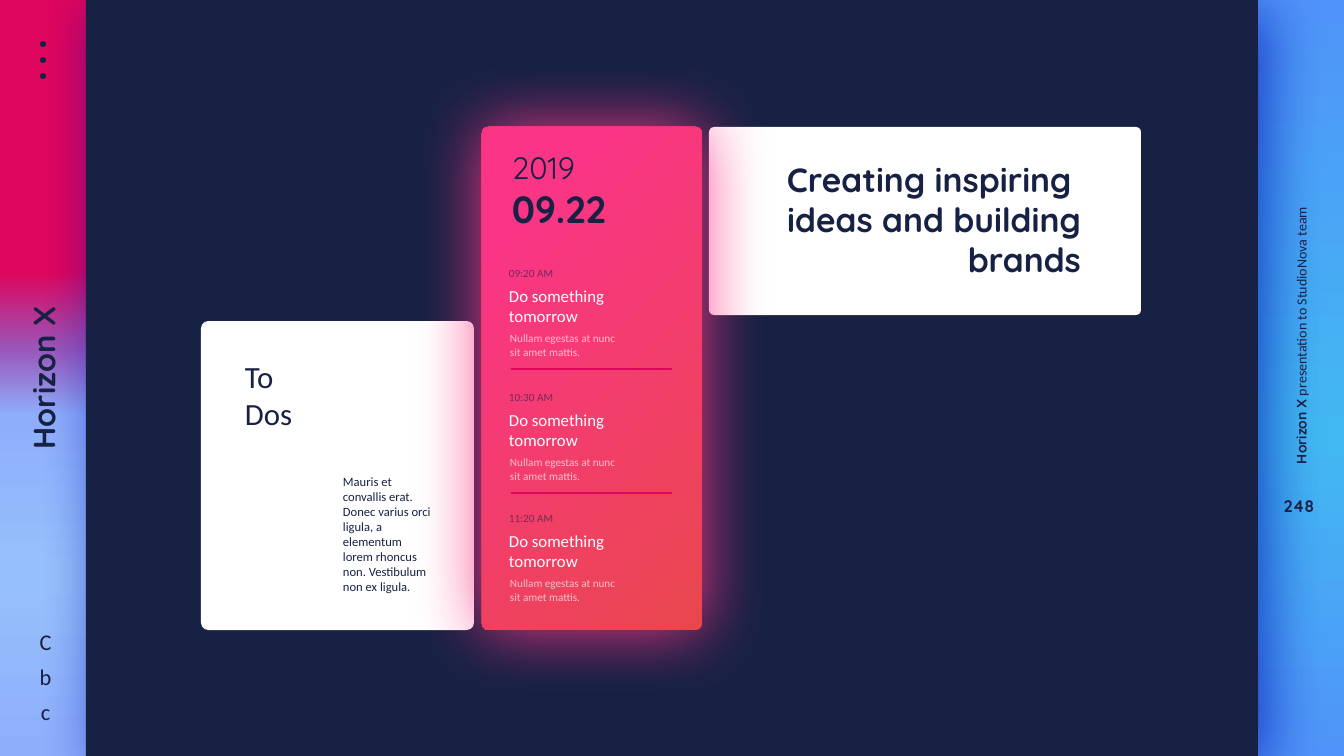
"""Build the dark agenda slide with a to-do card, a day schedule and a headline."""
from lxml import etree
from pptx import Presentation, util as u
from pptx.dml.color import RGBColor
from pptx.enum import shapes, text
from pptx.oxml import ns, parse_xml

PX = 18143
NAVY = RGBColor(0x17, 0x21, 0x44)
WHITE = RGBColor(0xFF, 0xFF, 0xFF)
CRIMSON = RGBColor(0xDE, 0x05, 0x5D)
PINK = RGBColor(0xFA, 0x35, 0x85)
CORAL = RGBColor(0xE9, 0x47, 0x4E)
ROSE = RGBColor(0xFC, 0x86, 0xB6)
PURPLE = RGBColor(0x9A, 0x55, 0xB8)
PERIWINKLE = RGBColor(0x8E, 0xAE, 0xFC)
PALE_BLUE = RGBColor(0x96, 0xC0, 0xFB)
BLUE = RGBColor(0x50, 0x94, 0xF9)
CYAN = RGBColor(0x42, 0xB8, 0xF2)
ROYAL = RGBColor(0x00, 0x12, 0xB0)
MAIN, HEADING = "Calibri", "Quicksand"
LEFT, CENTER, RIGHT = text.PP_ALIGN.LEFT, text.PP_ALIGN.CENTER, text.PP_ALIGN.RIGHT
TOP, MIDDLE = text.MSO_ANCHOR.TOP, text.MSO_ANCHOR.MIDDLE
RECT = shapes.MSO_SHAPE.RECTANGLE
ROUNDED = shapes.MSO_SHAPE.ROUNDED_RECTANGLE
DOT = shapes.MSO_SHAPE.OVAL
DOWNWARD = '<a:lin ang="5400000" scaled="0"/>'
FROM_CORNER = '<a:path path="circle"><a:fillToRect r="100000" b="100000"/></a:path>'
SHADOW = '<a:outerShdw {} blurRad="{}" dist="{}" dir="{}" algn="ctr" rotWithShape="0"><a:srgbClr val="{}"><a:alpha val="{}"/></a:srgbClr></a:outerShdw>'

deck = Presentation()
deck.slide_width, deck.slide_height = 1344 * PX, 756 * PX
slide = deck.slides.add_slide(deck.slide_layouts[5])
slide.background.fill.solid()
slide.background.fill.fore_color.rgb = NAVY


def block(kind, box, stops, spread=None, shadow=None):
    shape = slide.shapes.add_shape(kind, *[v * PX for v in box])
    if kind == ROUNDED:
        shape.adjustments[0] = 0.027
    if spread:
        colours = "".join(f'<a:gs pos="{at * 1000}"><a:srgbClr val="{c}"/></a:gs>' for at, c in stops)
        shape._element.spPr.append(parse_xml(
            f'<a:gradFill {ns.nsdecls("a")} rotWithShape="1"><a:gsLst>{colours}</a:gsLst>{spread}</a:gradFill>'))
    else:
        shape.fill.solid()
        shape.fill.fore_color.rgb = stops
    shape.line.fill.background()
    shape.shadow.inherit = False
    if shadow:
        shape._element.spPr.find(ns.qn("a:effectLst")).append(
            parse_xml(SHADOW.format(ns.nsdecls("a"), *shadow)))


def write(box, lines, size, color=NAVY, font=MAIN, bold=False, align=LEFT,
          anchor=TOP, turn=0, alpha=100, holder=None):
    holder = holder or slide.shapes.add_textbox(0, 0, 0, 0)
    holder.left, holder.top, holder.width, holder.height = [v * PX for v in box]
    holder.rotation = turn
    frame = holder.text_frame
    frame.text = lines
    frame.word_wrap = True
    frame.auto_size = text.MSO_AUTO_SIZE.NONE
    frame.vertical_anchor = anchor
    for paragraph in frame.paragraphs:
        paragraph.alignment = align
        for run in paragraph.runs:
            run.font.size, run.font.name, run.font.bold = u.Pt(size), font, bold
            run.font.color.rgb = color
            if alpha < 100:
                tint = run._r.rPr.find(".//" + ns.qn("a:srgbClr"))
                etree.SubElement(tint, ns.qn("a:alpha")).set("val", str(alpha * 1000))
    return frame


block(RECT, (0, 0, 86, 756), [(0, CRIMSON), (36, CRIMSON), (46, PURPLE), (55, PERIWINKLE),
                              (76, PALE_BLUE), (100, PERIWINKLE)], DOWNWARD)
block(RECT, (1258, 0, 86, 756), [(0, BLUE), (58, CYAN), (100, BLUE)], DOWNWARD)
block(RECT, (86, 0, 1172, 756), NAVY,
      shadow=(u.Pt(84), u.Pt(24), 45 * 60000, ROYAL, 66000))

write((-78, 357, 242, 42), "Horizon X", 44, font=HEADING, bold=True, align=CENTER, turn=270)
for row in range(3):
    block(DOT, (40, 41 + 16 * row, 6, 6), NAVY)
for row, letter in enumerate("Cbc"):
    write((29, 626 + 35 * row, 33, 32), letter, 32, align=CENTER, anchor=MIDDLE)
credit = write((1161, 318, 280, 22), "Horizon X", 20, font=HEADING, bold=True, anchor=MIDDLE, turn=270)
audience = credit.paragraphs[0].add_run()
audience.text = " presentation to StudioNova team"
audience.font.size, audience.font.name, audience.font.bold = u.Pt(20), MAIN, False
audience.font.color.rgb = NAVY
write((1271, 490, 56, 32), "248", 24, font=HEADING, bold=True, align=CENTER, anchor=MIDDLE)

block(ROUNDED, (201, 321, 273, 309), WHITE)
write((240, 355, 70, 80), "To\nDos", 44)
write((338, 471, 100, 127), "Mauris et convallis erat. Donec varius orci ligula, a elementum "
      "lorem rhoncus non. Vestibulum non ex ligula.", 18)

block(ROUNDED, (709, 127, 432, 188), WHITE)
headline = slide.shapes.title
slide.shapes._spTree.append(headline._element)
write((727, 156, 359, 127), "Creating inspiring \nideas and building brands", 48,
      font=HEADING, bold=True, align=RIGHT, holder=headline)

block(ROUNDED, (482, 127, 220, 503), [(18, PINK), (100, CORAL)], FROM_CORNER,
      shadow=(u.Pt(100), 0, 0, PINK, 97000))
date = write((507, 146, 120, 88), "2019\n09.22", 44, font=HEADING)
day = date.paragraphs[1].runs[0].font
day.size, day.bold = u.Pt(54), True

for top, hour in ((264, "09:20 AM"), (388, "10:30 AM"), (509, "11:20 AM")):
    write((504, top + 19, 115, 46), "Do something\ntomorrow", 24, WHITE)
    write((504, top, 70, 19), hour, 16, alpha=59)
    write((505, top + 65, 119, 32), "Nullam egestas at nunc sit amet mattis.", 16, WHITE, alpha=68)
    if top < 509:
        rule = slide.shapes.add_connector(shapes.MSO_CONNECTOR.STRAIGHT, 511 * PX, (top + 105) * PX,
                                          672 * PX, (top + 105) * PX)
        rule.line.color.rgb = CRIMSON
        rule.line.width = u.Pt(1.75)
        effects = etree.SubElement(rule._element.spPr, ns.qn("a:effectLst"))
        effects.append(parse_xml(SHADOW.format(ns.nsdecls("a"), 0, u.Pt(1), 90 * 60000, ROSE, 100000)))

deck.save("out.pptx")
